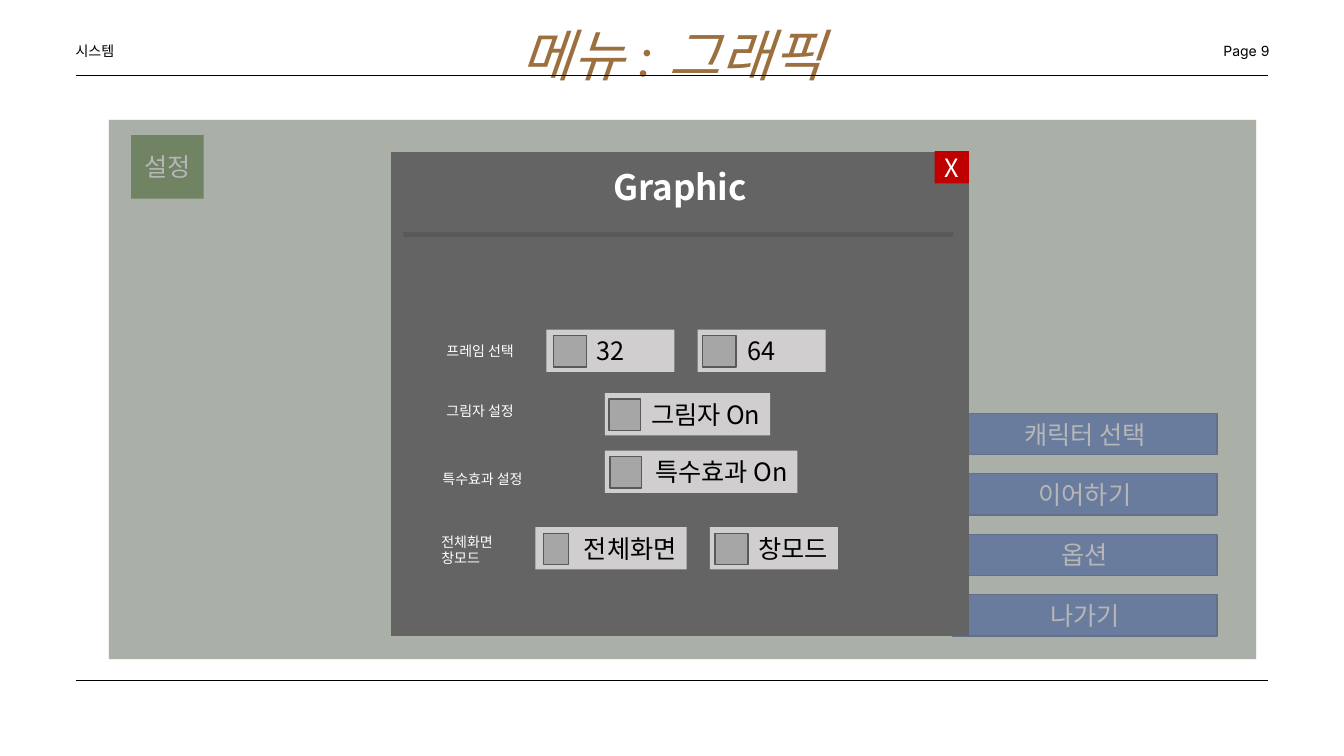
from lxml import etree
from pptx import Presentation
from pptx.dml.color import RGBColor
from pptx.enum.shapes import MSO_CONNECTOR, MSO_SHAPE
from pptx.enum.text import MSO_ANCHOR, MSO_AUTO_SIZE, PP_ALIGN
from pptx.oxml.ns import qn
from pptx.util import Inches, Pt

BLACK = RGBColor(0x00, 0x00, 0x00)
WHITE = RGBColor(0xFF, 0xFF, 0xFF)
BROWN = RGBColor(0x9B, 0x6F, 0x3E)
MINT = RGBColor(0xE2, 0xF0, 0xD9)
GREEN = RGBColor(0x54, 0x82, 0x35)
BLUE = RGBColor(0x44, 0x72, 0xC4)
NAVY = RGBColor(0x32, 0x54, 0x91)
VEIL = RGBColor(0x84, 0x84, 0x84)
PANEL = RGBColor(0x64, 0x64, 0x64)
DARK = RGBColor(0x59, 0x59, 0x59)
RED = RGBColor(0xC0, 0x00, 0x00)
PALE = RGBColor(0xD0, 0xCE, 0xCE)
GRAY = RGBColor(0xA6, 0xA6, 0xA6)
NOTO = "Noto Sans CJK KR"
LEFT, MID, RIGHT = PP_ALIGN.LEFT, PP_ALIGN.CENTER, PP_ALIGN.RIGHT


def write(shape, words, size, color, align=MID, font=NOTO, pitch=None):
    """Fill a shape with text; a pitch in points also drops the insets."""
    frame = shape.text_frame
    frame.word_wrap = True
    frame.text = words
    if pitch:
        frame.margin_left = frame.margin_right = 0
        frame.margin_top = frame.margin_bottom = 0
    for para in frame.paragraphs:
        para.alignment = align
        if pitch:
            para.line_spacing = Pt(pitch)
        for run in para.runs:
            run.font.size = Pt(size)
            run.font.name = font
            run.font.color.rgb = color
            if font == NOTO:
                east = etree.SubElement(run.font._element, qn("a:ea"))
                east.set("typeface", font)


def block(home, spot, fill, edge=None):
    """Add a flat rectangle at (left, top, width, height) in inches."""
    rect = home.add_shape(MSO_SHAPE.RECTANGLE, *map(Inches, spot))
    rect.shadow.inherit = False
    rect.fill.solid()
    rect.fill.fore_color.rgb = fill
    if edge is None:
        rect.line.fill.background()
    else:
        rect.line.color.rgb = edge
        rect.line.width = Pt(1)
    rect.text_frame.vertical_anchor = MSO_ANCHOR.MIDDLE
    return rect


deck = Presentation()
deck.slide_width, deck.slide_height = Inches(13.33), Inches(7.5)
slide = deck.slides.add_slide(deck.slide_layouts[5])
shapes = slide.shapes

# Page frame
title = shapes.title
title.left, title.top = Inches(4.65), Inches(-0.16)
title.width, title.height = Inches(4.03), Inches(0.94)
write(title, "메뉴 : 그래픽", 40, BROWN, MID, "Times New Roman", 74.5)
title.text_frame.vertical_anchor = MSO_ANCHOR.TOP
title.text_frame.auto_size = MSO_AUTO_SIZE.NONE
title.text_frame.paragraphs[0].runs[0].font.italic = True

for left, words, align in ((0.75, "시스템", PP_ALIGN.JUSTIFY),
                           (10.04, "Page 9", RIGHT)):
    label = shapes.add_textbox(Inches(left), Inches(0.39), Inches(2.55), Inches(0.18))
    write(label, words, 10, BLACK, align, "Inter", 14)

for y in (0.75, 6.75):
    rule = shapes.add_connector(MSO_CONNECTOR.STRAIGHT, Inches(0.75), Inches(y),
                                Inches(12.58), Inches(y))
    rule.line.color.rgb = BLACK
    rule.line.width = Pt(0.75)
    etree.SubElement(rule._element.spPr, qn("a:effectLst"))

# Game screen, dimmed by a veil
screen = (1.08, 1.19, 11.38, 5.35)
block(shapes, screen, MINT)
write(block(shapes, (1.3, 1.34, 0.72, 0.63), GREEN), "설정", 18, WHITE)
for i, words in enumerate(("캐릭터 선택", "이어하기", "옵션", "나가기")):
    button = block(shapes, (9.45, 4.1 + 0.6 * i, 2.62, 0.41), BLUE, NAVY)
    write(button, words, 18, WHITE)
veil = block(shapes, screen, VEIL)
tint = veil.fill._xPr.find(qn("a:solidFill"))[0]
etree.SubElement(tint, qn("a:alpha")).set("val", "59000")

# Graphic dialog
dialog = shapes.add_group_shape().shapes
block(dialog, (3.88, 1.51, 5.73, 4.8), PANEL)
head = dialog.add_textbox(Inches(5.61), Inches(1.59), Inches(2.27), Inches(0.52))
write(head, "Graphic", 25, WHITE)
head.text_frame.paragraphs[0].runs[0].font.bold = True
block(dialog, (4, 2.3, 5.45, 0.05), DARK)
write(block(dialog, (9.27, 1.5, 0.34, 0.32), RED), "X", 18, WHITE)

labels = (
    (4.33, 3.35, 0.99, 0.27, "프레임 선택"),
    (4.33, 3.94, 0.99, 0.27, "그림자 설정"),
    (4.29, 4.62, 1.14, 0.27, "특수효과 설정"),
    (4.28, 5.24, 1.14, 0.44, "전체화면\n창모드"),
)
for *spot, words in labels:
    label = dialog.add_textbox(*map(Inches, spot))
    write(label, words, 10, WHITE, LEFT)

# Options: left, top, width, text, alignment, check box left and width
options = (
    (5.42, 3.27, 1.27, "32", MID, 5.49, 0.33),
    (6.92, 3.27, 1.27, "64", MID, 6.97, 0.33),
    (6, 3.9, 1.64, "그림자 On", RIGHT, 6.04, 0.31),
    (6, 4.47, 1.91, "특수효과 On", RIGHT, 6.05, 0.31),
    (5.31, 5.23, 1.5, "전체화면", RIGHT, 5.39, 0.25),
    (7.04, 5.23, 1.27, "창모드", RIGHT, 7.09, 0.33),
)
for left, top, width, words, align, check, side in options:
    write(block(dialog, (left, top, width, 0.42), PALE), words, 18, BLACK, align)
    block(dialog, (check, top + 0.06, side, 0.31), GRAY, DARK)

deck.save("out.pptx")
